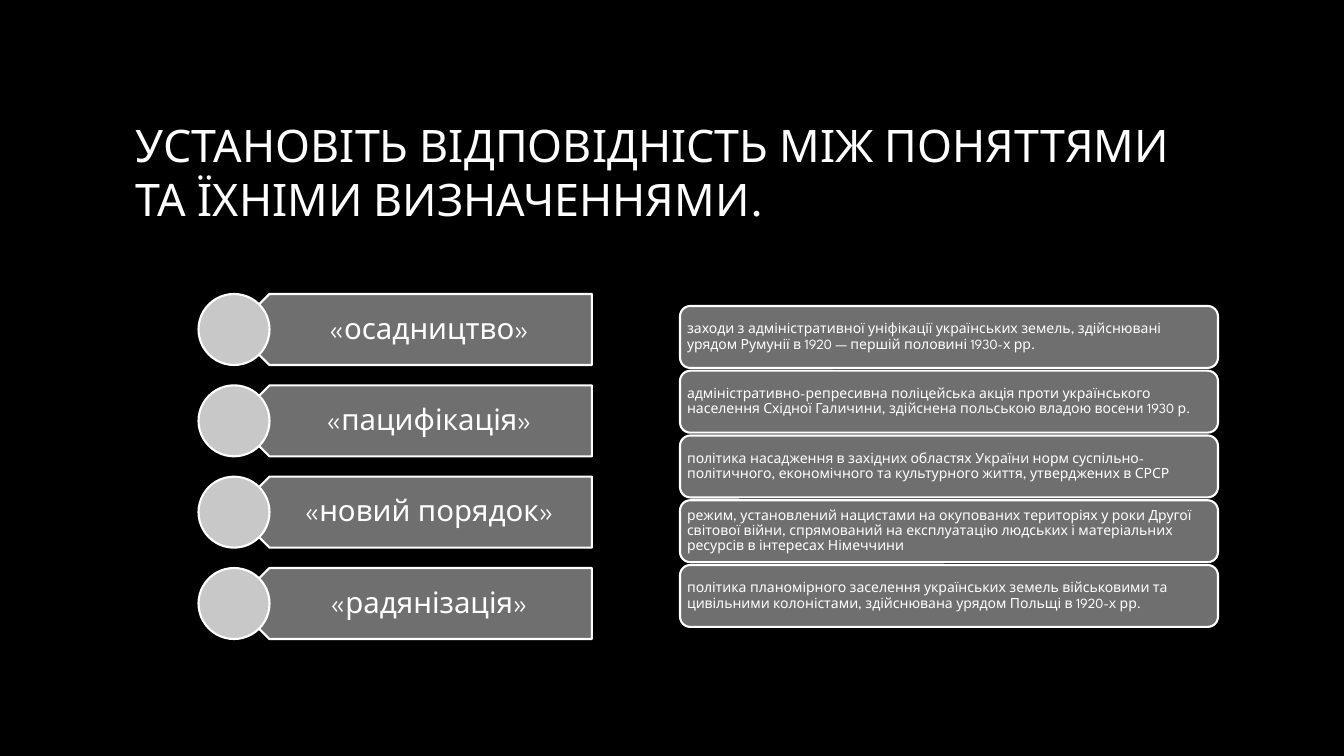
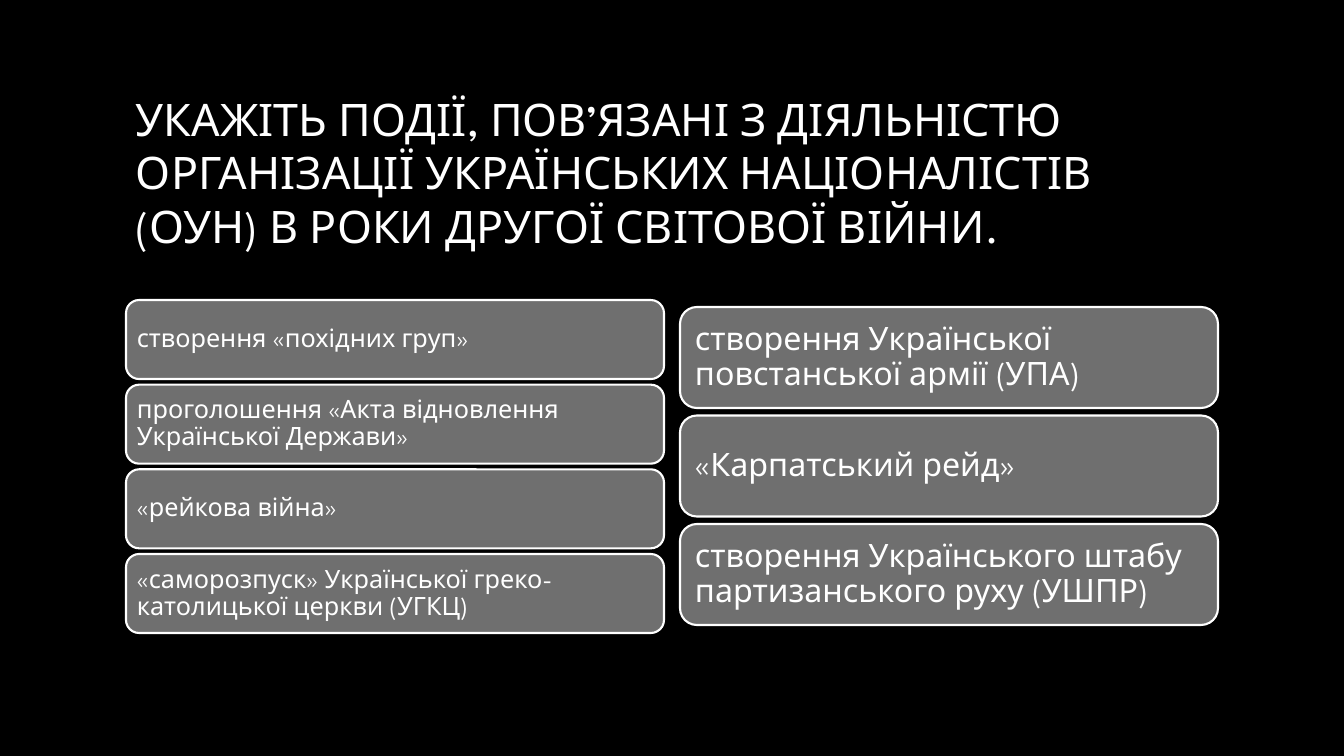
from pptx import Presentation
from pptx import util as u
from pptx.dml.color import RGBColor
from pptx.enum import shapes, text
from pptx.oxml.ns import qn

SLIDE_WIDTH, SLIDE_HEIGHT = 1344, 756
EMU_PER_PX = 12192000 / SLIDE_WIDTH
FONT = "League Spartan"
BLACK, WHITE, SILVER = "000000", "FFFFFF", "A6A6A6"
CARD_FILL, CIRCLE_FILL = "6F6F6F", "C8C8C8"
TITLE_BOX = (126, 67, 1092, 210)
LEFT_COLUMN, RIGHT_COLUMN, CARD_WIDTH = 126, 680, 538
TERM_LEFT, TERM_WIDTH = 234, 358

SLIDES = [
    {
        "title": "УСТАНОВІТЬ ВІДПОВІДНІСТЬ МІЖ ПОНЯТТЯМИ ТА ЇХНІМИ ВИЗНАЧЕННЯМИ.",
        "stacks": [
            {
                "kind": "terms", "top": 294, "bottom": 639, "height": 71, "size": 21,
                "items": ["«осадництво»", "«пацифікація»", "«новий порядок»", "«радянізація»"],
            },
            {
                "kind": "cards", "left": RIGHT_COLUMN, "top": 306, "bottom": 627,
                "height": 62, "size": 10, "inset": 4,
                "items": [
                    "заходи з адміністративної уніфікації українських земель, здійснювані "
                    "урядом Румунії в 1920 — першій половині 1930-х рр.",
                    "адміністративно-репресивна поліцейська акція проти українського "
                    "населення Східної Галичини, здійснена польською владою восени 1930 р.",
                    "політика насадження в західних областях України норм "
                    "суспільно-політичного, економічного та культурного життя, "
                    "утверджених в СРСР",
                    "режим, установлений нацистами на окупованих територіях у роки Другої "
                    "світової війни, спрямований на експлуатацію людських і матеріальних "
                    "ресурсів в інтересах Німеччини",
                    "політика планомірного заселення українських земель військовими та "
                    "цивільними колоністами, здійснювана урядом Польщі в 1920-х рр.",
                ],
            },
        ],
    },
    {
        "title": "УКАЖІТЬ ПОДІЇ, ПОВ’ЯЗАНІ З ДІЯЛЬНІСТЮ ОРГАНІЗАЦІЇ УКРАЇНСЬКИХ "
                 "НАЦІОНАЛІСТІВ (ОУН) В РОКИ ДРУГОЇ СВІТОВОЇ ВІЙНИ.",
        "stacks": [
            {
                "kind": "cards", "left": LEFT_COLUMN, "top": 300, "bottom": 633,
                "height": 79, "size": 18, "inset": 7,
                "items": [
                    "створення «похідних груп»",
                    "проголошення «Акта відновлення Української Держави»",
                    "«рейкова війна»",
                    "«саморозпуск» Української греко-католицької церкви (УГКЦ)",
                ],
            },
            {
                "kind": "cards", "left": RIGHT_COLUMN, "top": 307, "bottom": 625,
                "height": 101, "size": 23, "inset": 10,
                "items": [
                    "створення Української повстанської армії (УПА)",
                    "«Карпатський рейд»",
                    "створення Українського штабу партизанського руху (УШПР)",
                ],
            },
        ],
    },
]


def px(length):
    return u.Emu(round(length * EMU_PER_PX))


def color(hex_value):
    return RGBColor.from_string(hex_value)


def set_attributes(target, values):
    for name, value in values.items():
        setattr(target, name, value)


def write_text(shape, content, size, insets, align=text.PP_ALIGN.LEFT, line_spacing=0.9):
    """Fill the shape with one paragraph and return its run; insets are left, top, right, bottom."""
    frame = shape.text_frame
    sides = ("margin_left", "margin_top", "margin_right", "margin_bottom")
    set_attributes(frame, dict(zip(sides, map(px, insets))))
    set_attributes(frame, {"word_wrap": True, "vertical_anchor": text.MSO_ANCHOR.MIDDLE})
    paragraph = frame.paragraphs[0]
    set_attributes(paragraph, {"alignment": align, "line_spacing": line_spacing})
    run = paragraph.add_run()
    run.text = content
    set_attributes(run.font, {"name": FONT, "size": u.Pt(size)})
    run.font.color.rgb = color(WHITE)
    return run


def add_outlined_shape(slide, preset, box, fill):
    shape = slide.shapes.add_shape(preset, *map(px, box))
    shape.shadow.inherit = False
    shape.fill.solid()
    shape.fill.fore_color.rgb = color(fill)
    shape.line.color.rgb = color(WHITE)
    shape.line.width = u.Pt(1.5)
    return shape


def add_title(slide, content):
    box = slide.shapes.add_textbox(*map(px, TITLE_BOX))
    run = write_text(box, content, 32, (10, 5, 10, 5), line_spacing=1.0)
    fill = run.font.fill
    fill.gradient()
    fill.gradient_angle = 267
    for stop, hex_value in zip(fill.gradient_stops, (WHITE, SILVER)):
        stop.color.rgb = color(hex_value)


def add_term(slide, stack, top, content):
    """Add a left-pointing label with a circle over its tip."""
    height = stack["height"]
    label = add_outlined_shape(slide, shapes.MSO_SHAPE.PENTAGON,
                               (TERM_LEFT, top, TERM_WIDTH, height), CARD_FILL)
    label._element.spPr.find(qn("a:xfrm")).set("flipH", "1")
    write_text(label, content, stack["size"], (31, 9, 16, 9), text.PP_ALIGN.CENTER)
    add_outlined_shape(slide, shapes.MSO_SHAPE.OVAL,
                       (TERM_LEFT - height / 2, top, height, height), CIRCLE_FILL)


def add_card(slide, stack, top, content):
    card = add_outlined_shape(slide, shapes.MSO_SHAPE.ROUNDED_RECTANGLE,
                              (stack["left"], top, CARD_WIDTH, stack["height"]), CARD_FILL)
    write_text(card, content, stack["size"], [stack["inset"]] * 4)


def add_stack(slide, stack):
    """Spread the items evenly between the top and bottom of the stack."""
    add_item = {"terms": add_term, "cards": add_card}[stack["kind"]]
    pitch = (stack["bottom"] - stack["top"] - stack["height"]) / (len(stack["items"]) - 1)
    for index, content in enumerate(stack["items"]):
        add_item(slide, stack, stack["top"] + index * pitch, content)


def main():
    presentation = Presentation()
    set_attributes(presentation, {"slide_width": px(SLIDE_WIDTH), "slide_height": px(SLIDE_HEIGHT)})
    for content in SLIDES:
        slide = presentation.slides.add_slide(presentation.slide_layouts[6])
        slide.background.fill.solid()
        slide.background.fill.fore_color.rgb = color(BLACK)
        add_title(slide, content["title"])
        for stack in content["stacks"]:
            add_stack(slide, stack)
    presentation.save("out.pptx")


if __name__ == "__main__":
    main()
